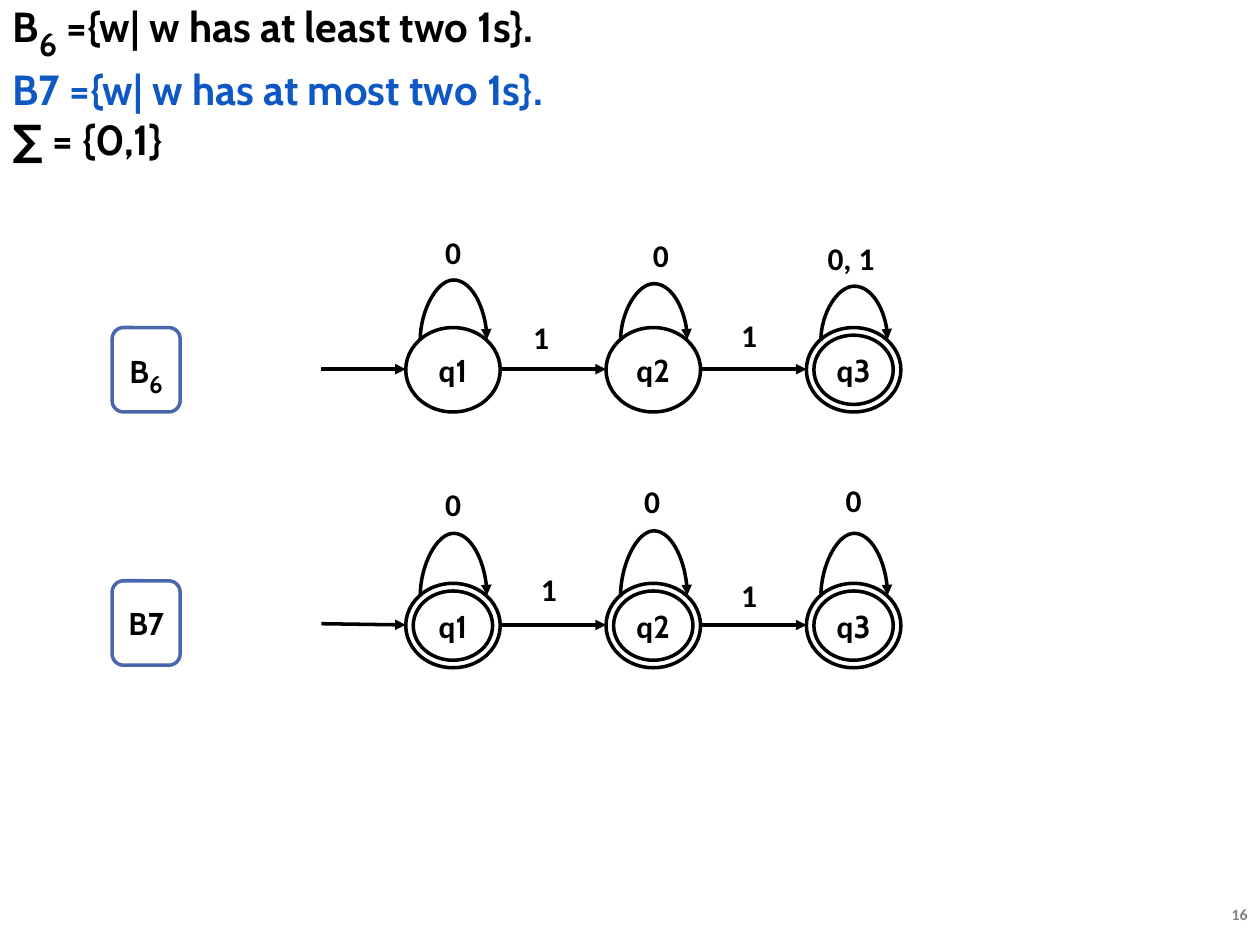
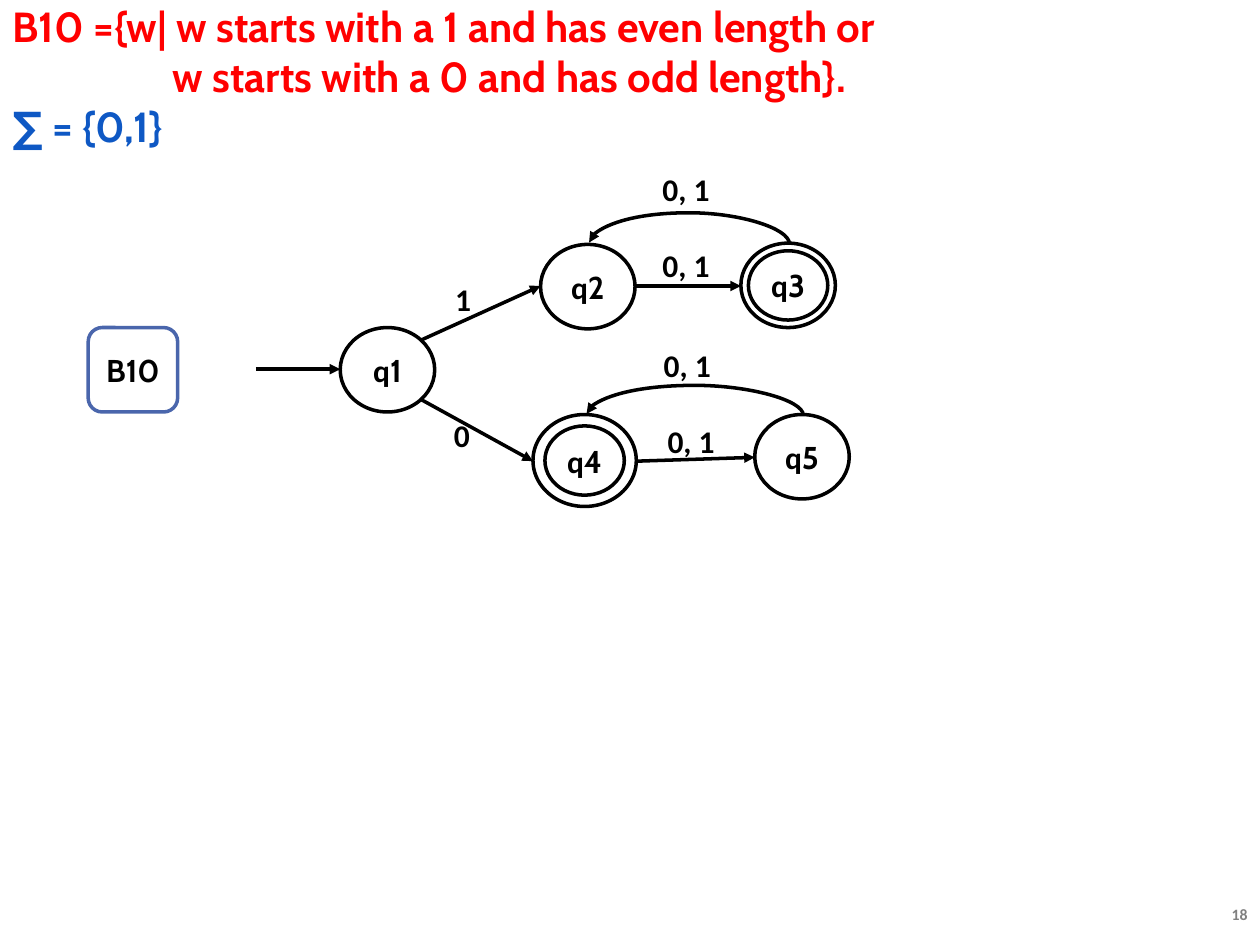
from lxml.etree import SubElement as Sub
from pptx import Presentation
from pptx.dml.color import RGBColor
from pptx.enum.shapes import MSO_CONNECTOR as Link, MSO_SHAPE as Form
from pptx.enum.text import MSO_ANCHOR as Anchor, MSO_AUTO_SIZE as Fit, PP_ALIGN as Align
from pptx.oxml.ns import qn
from pptx.util import Pt

PX = 9144  # 100 px to the inch
BLACK, WHITE, GREY = "000000", "FFFFFF", "808080"
BLUE, RED, FRAME = "0E58C4", "FF0000", "4A66AC"
CABIN, PLAIN = "Cabin", "Calibri"
STATE, RING, LABEL = (75, 67), (63, 55), (65, 45)
TOP, UPLEFT, UPRIGHT = 0, 1, 7  # connection sites of an ellipse


def px(*nums):
    return [round(n * PX) for n in nums]


def tint(code):
    return RGBColor.from_string(code)


def write(para, text, font=CABIN, size=18, color=BLACK, base=0):
    run = para.add_run()
    run.text = text
    run.font.name, run.font.size, run.font.bold = font, Pt(size), True
    run.font.color.rgb = tint(color)
    if base:
        run._r.get_or_add_rPr().set("baseline", str(base * 1000))


class Deck:
    def __init__(self):
        self.prs = Presentation()
        self.prs.slide_width, self.prs.slide_height = px(1000, 750)
        self.slide = None

    # Slide with its language definition and page number
    def page(self, number):
        self.slide = self.prs.slides.add_slide(self.prs.slide_layouts[1])
        title = self.slide.shapes.title.element
        title.getparent().remove(title)
        box = self.slide.shapes.add_textbox(*px(873, 713, 127, 25))
        para = self.frame(box, Align.RIGHT, 10)
        write(para, str(number), font=PLAIN, size=9, color=GREY)

    def body(self, count, hang=0):
        """Return plain paragraphs; the first may have a hanging indent."""
        box = self.slide.placeholders[1]
        box.left, box.top, box.width, box.height = px(0, 0, 910, 120)
        frame = box.text_frame
        frame.auto_size, frame.vertical_anchor = Fit.NONE, Anchor.MIDDLE
        paras = [frame.paragraphs[0]]
        paras += [frame.add_paragraph() for _ in range(count - 1)]
        for para, gap in zip(paras, [hang] + [0] * count):
            para.space_before = Pt(0)
            props = para._p.get_or_add_pPr()
            props.set("marL", str(gap * PX))
            props.set("indent", str(-gap * PX))
            Sub(props, qn("a:buNone"))
        return paras

    def frame(self, shape, align=Align.CENTER, inset=0):
        frame = shape.text_frame
        frame.word_wrap, frame.vertical_anchor = True, Anchor.MIDDLE
        frame.margin_left = frame.margin_right = inset * PX
        frame.margin_top = frame.margin_bottom = 0
        para = frame.paragraphs[0]
        para.alignment = align
        return para

    # Shapes
    def shape(self, form, x, y, size, line=BLACK, fill=WHITE):
        shape = self.slide.shapes.add_shape(form, *px(x, y, *size))
        shape.shadow.inherit = False
        shape.line.color.rgb, shape.line.width = tint(line), Pt(2)
        if fill:
            shape.fill.solid()
            shape.fill.fore_color.rgb = tint(fill)
        else:
            shape.fill.background()
        return shape

    def state(self, num, x, y, final=False, size=STATE):
        oval = self.shape(Form.OVAL, x, y, size)
        para = self.frame(oval)
        write(para, "q", font=PLAIN)
        write(para, str(num))
        if final:
            dx, dy = [(a - b) / 2 for a, b in zip(size, RING)]
            self.shape(Form.OVAL, x + dx, y + dy, RING, fill=None)
        return oval

    def tag(self, x, y, width, text, sub=""):
        para = self.frame(self.shape(Form.ROUNDED_RECTANGLE, x, y, (width, 67), FRAME))
        write(para, text)
        if sub:
            write(para, sub, size=24, base=-25)

    def label(self, text, x, y):
        box = self.slide.shapes.add_textbox(*px(x, y, *LABEL))
        write(self.frame(box), text, font=PLAIN)

    # Arrows
    def arrow(self, x1, y1, x2, y2, kind=Link.STRAIGHT):
        line = self.slide.shapes.add_connector(kind, *px(x1, y1, x2, y2))
        line.line.color.rgb, line.line.width = tint(BLACK), Pt(2)
        props = line.element.spPr
        Sub(props.find(qn("a:ln")), qn("a:tailEnd"), type="triangle")
        Sub(props, qn("a:effectLst"))
        return line

    def arc(self, start, end, x1, x2, y, top):
        """Curve over the top between two (state, site) pairs."""
        mid, half = (x1 + x2) / 2, abs(x2 - x1) / 2
        ahead = x1 < x2
        # A box one px wide is turned on its side; its bend is the arc's height
        line = self.arrow(mid + ahead, y + half, mid + (not ahead), y - half, Link.CURVE)
        props = line.element.spPr
        props.find(qn("a:xfrm")).set("rot", str((90 if ahead else 270) * 60000))
        Sub(props.find(".//" + qn("a:avLst")), qn("a:gd"),
            name="adj1", fmla=f"val {(y - top) * 100000}")
        ends = line.element.nvCxnSpPr.cNvCxnSpPr
        for name, (oval, site) in (("a:stCxn", start), ("a:endCxn", end)):
            Sub(ends, qn(name), id=str(oval.shape_id), idx=str(site))


def count_ones(deck):
    deck.page(16)
    first, second, third = deck.body(3)
    write(first, "B", size=24)
    write(first, "6", size=32, base=-25)
    write(first, " ={w| w has at least two 1s}.", size=24)
    write(second, "B7 ={w| w has at most two 1s}.", size=24, color=BLUE)
    write(third, "∑ = {0,1}", size=24)

    deck.tag(89, 260, 54, "B", "6")
    deck.tag(89, 461, 54, "B7")

    # Per machine: top, start of entry arrow, final states,
    # loops (arc top, text, x, y), steps (x, y)
    rows = [
        (260, 293, {3},
         [(221, "0", 327, 177), (224, "0", 492, 180), (226, "0, 1", 643, 182)],
         [(397, 245), (562, 243)]),
        (463, 495, {1, 2, 3},
         [(422, "0", 327, 377), (420, "0", 485, 375), (422, "0", 645, 374)],
         [(403, 445), (562, 450)]),
    ]
    for y, entry, finals, loops, steps in rows:
        mid = y + 33
        for i, (top, text, tx, ty) in enumerate(loops):
            x = 322 + 159 * i
            oval = deck.state(i + 1, x, y, i + 1 in finals)
            deck.arrow(x - (84 if i else 67), mid if i else entry, x, mid)
            deck.arc((oval, UPLEFT), (oval, UPRIGHT), x + 11, x + 64, y + 10, top)
            deck.label(text, tx, ty)
        for tx, ty in steps:
            deck.label("1", tx, ty)


def start_length(deck):
    deck.page(18)
    first, second = deck.body(2, hang=127)
    write(first, "B10 ={w| w starts with a 1 and has even length or", size=24, color=RED)
    first.add_line_break()
    write(first, "w starts with a 0 and has odd length}.", size=24, color=RED)
    write(second, "∑ = {0,1}", size=24, color=BLUE)

    # States
    deck.tag(70, 260, 71, "B10")
    deck.state(1, 270, 260)
    q2 = deck.state(2, 429, 194)
    q3 = deck.state(3, 588, 193, final=True)
    q4 = deck.state(4, 423, 329, final=True, size=(82, 73))
    q5 = deck.state(5, 599, 329)

    # Moves
    for ends in [(203, 293, 270, 293), (334, 270, 429, 227), (504, 227, 588, 227),
                 (334, 317, 423, 366), (506, 366, 599, 363)]:
        deck.arrow(*ends)
    deck.arc((q3, TOP), (q2, TOP), 626, 467, 193, 168)
    deck.arc((q5, TOP), (q4, TOP), 637, 465, 329, 305)
    for text, x, y in [("0", 334, 323), ("1", 335, 215), ("0, 1", 516, 327),
                       ("0, 1", 512, 188), ("0, 1", 512, 127), ("0, 1", 513, 267)]:
        deck.label(text, x, y)


def main():
    deck = Deck()
    count_ones(deck)
    start_length(deck)
    deck.prs.save("out.pptx")


if __name__ == "__main__":
    main()
